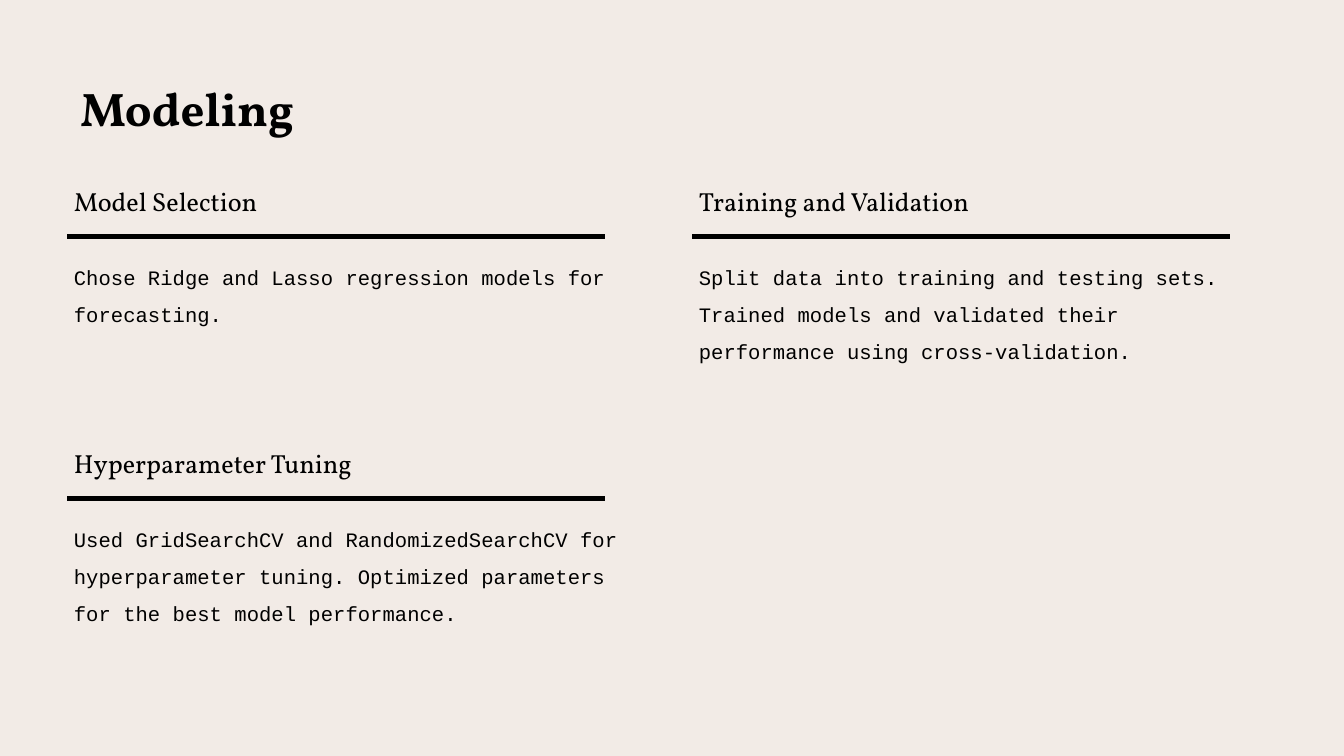
from dataclasses import dataclass

from lxml import etree
from pptx import Presentation
from pptx import util as u
from pptx.dml.color import RGBColor
from pptx.enum import shapes, text
from pptx.oxml.ns import qn

EMU_PER_PX = 4572
INK = "000000"
PAPER = "F2EBE6"
SERIF = "Vollkorn"
MONO = "Courier New"

LEFT, RIGHT = 100, 1030
UPPER, LOWER = 352, 742
COLUMN_WIDTH = 870
RULE_LENGTH = 800
HEADING_HEIGHT = 106
DETAIL_HEIGHT = 276


@dataclass(frozen=True)
class Style:
    font: dict
    insets: tuple[int, int, int, int]
    anchor: text.MSO_ANCHOR
    paragraph: dict


@dataclass(frozen=True)
class Topic:
    left: int
    rule_y: int
    heading: str
    detail: str


TITLE = Style({"name": SERIF, "size": u.Pt(25.2), "bold": True},
              (20, 20, 20, 20), text.MSO_ANCHOR.MIDDLE, {})
HEADING = Style({"name": SERIF, "size": u.Pt(14)},
                (10, 0, 30, 30), text.MSO_ANCHOR.BOTTOM, {})
DETAIL = Style({"name": MONO, "size": u.Pt(11)},
               (10, 24, 20, 20), text.MSO_ANCHOR.TOP,
               {"line_spacing": 1.5, "space_after": u.Pt(10)})

TOPICS = [
    Topic(LEFT, UPPER, "Model Selection",
          "Chose Ridge and Lasso regression models for forecasting."),
    Topic(RIGHT, UPPER, "Training and Validation",
          "Split data into training and testing sets. Trained models and "
          "validated their performance using cross-validation."),
    Topic(LEFT, LOWER, "Hyperparameter Tuning",
          "Used GridSearchCV and RandomizedSearchCV for hyperparameter tuning. "
          "Optimized parameters for the best model performance."),
]


def px(length: int) -> u.Emu:
    return u.Emu(length * EMU_PER_PX)


def colour(value: str) -> RGBColor:
    return RGBColor.from_string(value)


def apply(target: object, values: dict) -> None:
    for key, value in values.items():
        setattr(target, key, value)


def write(slide, wording: str, box: tuple[int, int, int, int], style: Style) -> None:
    frame = slide.shapes.add_textbox(*map(px, box)).text_frame
    left, top, right, bottom = map(px, style.insets)
    apply(frame, {"word_wrap": True, "vertical_anchor": style.anchor,
                  "margin_left": left, "margin_top": top,
                  "margin_right": right, "margin_bottom": bottom})
    paragraph = frame.paragraphs[0]
    apply(paragraph, style.paragraph)
    run = paragraph.add_run()
    run.text = wording
    apply(run.font, style.font)
    run.font.color.rgb = colour(INK)


def draw_rule(slide, left: int, y: int) -> None:
    rule = slide.shapes.add_connector(
        shapes.MSO_CONNECTOR.STRAIGHT, px(left), px(y), px(left + RULE_LENGTH), px(y))
    rule.line.color.rgb = colour(INK)
    rule.line.width = u.Pt(2.25)
    etree.SubElement(rule._element.spPr, qn("a:effectLst"))


def draw_topic(slide, topic: Topic) -> None:
    write(slide, topic.heading,
          (topic.left, topic.rule_y - HEADING_HEIGHT, COLUMN_WIDTH, HEADING_HEIGHT), HEADING)
    draw_rule(slide, topic.left, topic.rule_y)
    write(slide, topic.detail,
          (topic.left, topic.rule_y, COLUMN_WIDTH, DETAIL_HEIGHT), DETAIL)


def main() -> None:
    deck = Presentation()
    apply(deck, {"slide_width": px(2000), "slide_height": px(1125)})
    slide = deck.slides.add_slide(deck.slide_layouts[6])
    slide.background.fill.solid()
    slide.background.fill.fore_color.rgb = colour(PAPER)
    write(slide, "Modeling", (LEFT, 98, 1800, 126), TITLE)
    for topic in TOPICS:
        draw_topic(slide, topic)
    deck.save("out.pptx")


if __name__ == "__main__":
    main()
